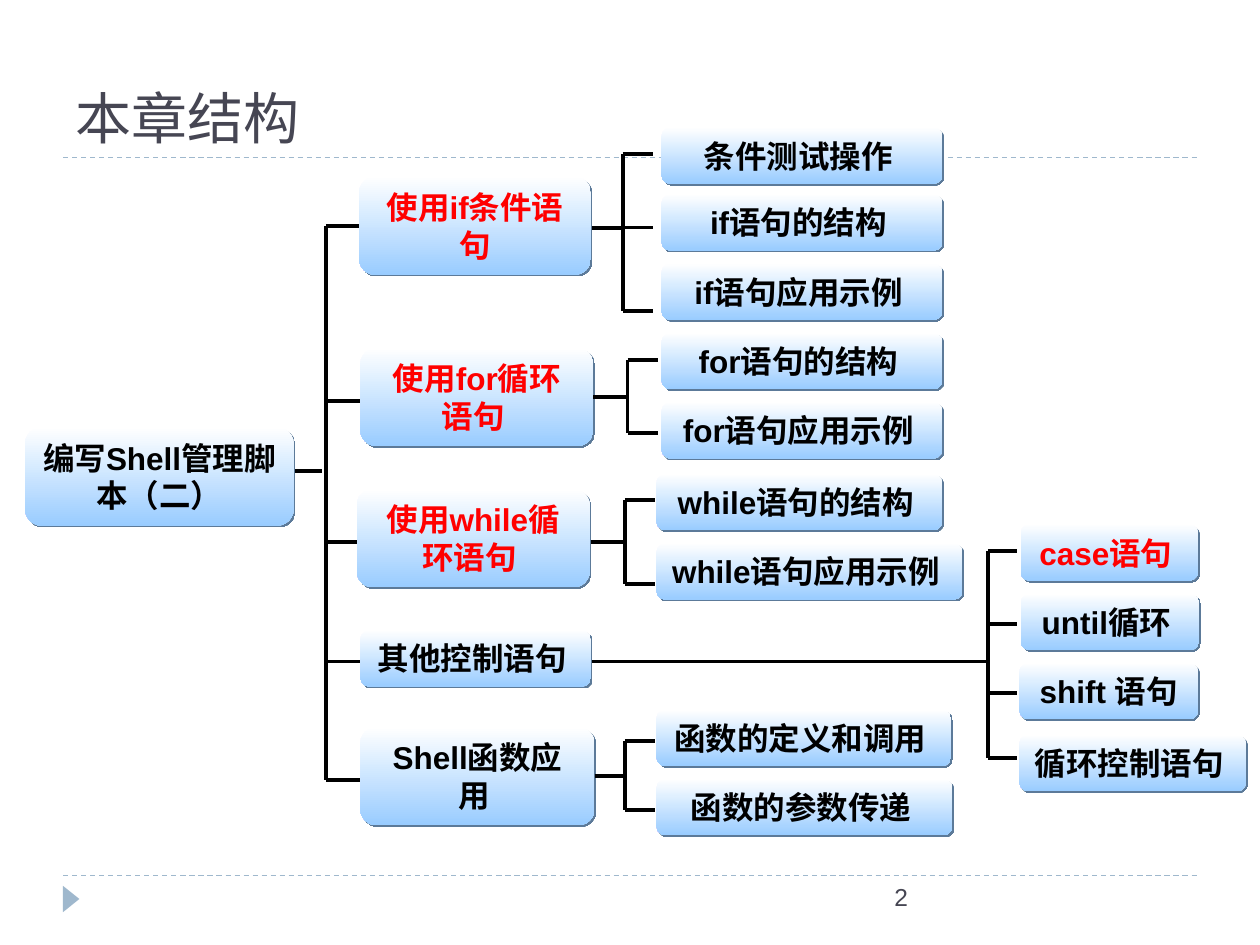
"""Build the chapter structure slide as a tree of rounded boxes."""
from lxml import etree
from pptx import Presentation
from pptx.dml.color import RGBColor
from pptx.enum import dml, shapes, text
from pptx.oxml import ns
from pptx.util import Pt

BLACK = RGBColor(0x00, 0x00, 0x00)
RED = RGBColor(0xFF, 0x00, 0x00)
WHITE = RGBColor(0xFF, 0xFF, 0xFF)
SKY = RGBColor(0x99, 0xCC, 0xFF)
SHADE = RGBColor(0x5C, 0x7A, 0x99)
STEEL = RGBColor(0x9F, 0xB8, 0xCD)
SLATE = RGBColor(0x46, 0x46, 0x53)

TALL, LOW = 56.2, 32.4

ROOT = ("编写Shell管理脚本（二）", 14.4, 244.1, 153.4, TALL, BLACK)
TOPICS = [
    ("使用if条件语句", 205.2, 100.8, 132.5, TALL, RED),
    ("使用for循环语句 ", 205.9, 198.7, 133.2, TALL, RED),
    ("使用while循环语句 ", 203.8, 279.4, 133.2, TALL, RED),
    ("其他控制语句 ", 205.9, 360, 131.8, LOW, BLACK),
    ("Shell函数应用 ", 205.9, 415.4, 133.9, TALL, BLACK),
]
PARTS = [
    ("条件测试操作 ", 378, 72.7, 160.6, LOW, BLACK),
    ("if语句的结构 ", 378, 110.9, 160.6, LOW, BLACK),
    ("if语句应用示例 ", 378, 150.5, 160.6, LOW, BLACK),
    ("for语句的结构 ", 378, 190.1, 160.6, LOW, BLACK),
    ("for语句应用示例 ", 378, 229.7, 160.6, LOW, BLACK),
    ("while语句的结构 ", 375.1, 270.7, 163.4, LOW, BLACK),
    ("while语句应用示例 ", 375.1, 310.3, 175, LOW, BLACK),
    ("函数的定义和调用 ", 375.1, 405.4, 168.5, LOW, BLACK),
    ("函数的参数传递 ", 375.1, 445, 169.2, LOW, BLACK),
    ("case语句 ", 583.2, 299.5, 101.5, LOW, RED),
    ("until循环 ", 583.2, 339.1, 102.2, LOW, BLACK),
    ("shift 语句", 582.5, 378.7, 102.2, LOW, BLACK),
    ("循环控制语句 ", 582.5, 419.8, 129.6, LOW, BLACK),
]
FORKS = [
    (355.8, 373, [87.8, 130, 177.8]),
    (358.6, 375.8, [205.6, 247.7]),
    (357.1, 374.4, [285.8, 333.7]),
    (564.5, 581, [315, 356.4, 396, 433.4]),
    (357.1, 374.4, [423.4, 462.8]),
]
TRUNK = (186.2, 206.3, [229, 309.6, 378, 445.7])
STEMS = [
    (150.5, 184.3, 269.3),
    (335.5, 355.8, 130.3),
    (337.7, 357.1, 309.6),
    (331.9, 564.5, 378),
]


class Deck:
    """Hold the style and the current slide."""

    def __init__(self, font, size):
        self.font, self.size = font, size
        self.prs = Presentation()
        self.prs.slide_width, self.prs.slide_height = Pt(720), Pt(540)
        self.slide = self.prs.slides.add_slide(self.prs.slide_layouts[5])

    def style(self, frame, size, color, font=None, bold=False):
        """Format every run of a text frame."""
        for para in frame.paragraphs:
            for run in para.runs:
                run.font.name = font or self.font
                run.font.size = Pt(size)
                run.font.bold = bold
                run.font.color.rgb = color

    def title(self, words, *area):
        """Fill and move the title placeholder."""
        head = self.slide.shapes.title
        head.left, head.top, head.width, head.height = map(Pt, area)
        frame = head.text_frame
        frame.text = words
        frame.vertical_anchor = text.MSO_ANCHOR.BOTTOM
        frame.paragraphs[0].alignment = text.PP_ALIGN.LEFT
        self.style(frame, 32, SLATE, "Roboto Slab")

    def note(self, words, *area):
        """Add a plain text box."""
        frame = self.slide.shapes.add_textbox(*map(Pt, area)).text_frame
        frame.word_wrap = True
        frame.text = words
        self.style(frame, 14, SLATE)

    def line(self, x1, y1, x2, y2, color=BLACK, width=2.25, dash=None):
        """Add a straight line."""
        line = self.slide.shapes.add_connector(
            shapes.MSO_CONNECTOR.STRAIGHT, Pt(x1), Pt(y1), Pt(x2), Pt(y2))
        line.line.color.rgb = color
        line.line.width = Pt(width)
        if dash:
            line.line.dash_style = dash
        etree.SubElement(line.element.spPr, ns.qn("a:effectLst"))
        return line

    def fork(self, x, end, rows, top=None):
        """Add an upright bar with a branch on each row."""
        self.line(x, top or rows[0], x, rows[-1])
        for y in rows:
            self.line(x, y, end, y)

    def mark(self, x, y, w, h):
        """Add the small footer triangle."""
        mark = self.slide.shapes.add_shape(
            shapes.MSO_SHAPE.ISOSCELES_TRIANGLE, Pt(x), Pt(y), Pt(w), Pt(h))
        mark.rotation = 90
        mark.shadow.inherit = False
        mark.fill.solid()
        mark.fill.fore_color.rgb = STEEL
        mark.line.fill.background()

    def box(self, words, x, y, w, h, color):
        """Add a shaded rounded box with centred text."""
        box = self.slide.shapes.add_shape(
            shapes.MSO_SHAPE.ROUNDED_RECTANGLE, Pt(x), Pt(y), Pt(w), Pt(h))
        box.line.fill.background()
        box.fill.gradient()
        box.fill.gradient_angle = 270
        for stop, place, tint in zip(box.fill.gradient_stops, (0, 1), (WHITE, SKY)):
            stop.position = place
            stop.color.rgb = tint
        box.shadow.inherit = False
        glow = etree.SubElement(
            box.element.spPr.find(ns.qn("a:effectLst")), ns.qn("a:outerShdw"),
            blurRad="0", dist=str(Pt(1.4)), dir="2700000", algn="ctr", rotWithShape="0")
        etree.SubElement(glow, ns.qn("a:srgbClr"), val=str(SHADE))
        frame = box.text_frame
        frame.word_wrap = True
        frame.auto_size = text.MSO_AUTO_SIZE.SHAPE_TO_FIT_TEXT
        frame.vertical_anchor = text.MSO_ANCHOR.MIDDLE
        frame.text = words
        frame.paragraphs[0].alignment = text.PP_ALIGN.CENTER
        self.style(frame, self.size, color, bold=True)
        return box


def main():
    """Draw the slide and save it."""
    deck = Deck("Arial", 18)
    for y in (500.4, 90):
        deck.line(36, y, 684, y, STEEL, 0.75, dml.MSO_LINE.DASH)
    deck.mark(33.1, 509, 15.1, 9.4)
    deck.note("2", 504, 500.4, 180, 28.8)
    deck.title("本章结构", 36, 12.2, 648, 77.8)

    first = TOPICS[0][2] + TALL / 2
    deck.fork(*TRUNK, top=first)
    for fork in FORKS:
        deck.fork(*fork)
    for start, end, y in STEMS:
        deck.line(start, y, end, y)

    deck.box(*ROOT)
    topics = [deck.box(*topic) for topic in TOPICS]
    for part in PARTS:
        deck.box(*part)

    deck.line(TRUNK[0], first, TOPICS[0][1], first).end_connect(topics[0], 1)
    for i in (1, 4):
        x, y, w, h = TOPICS[i][1:5]
        stem = deck.line(x + w, y + h / 2, FORKS[i][0], y + h / 2)
        stem.begin_connect(topics[i], 3)

    deck.prs.save("out.pptx")


if __name__ == "__main__":
    main()
